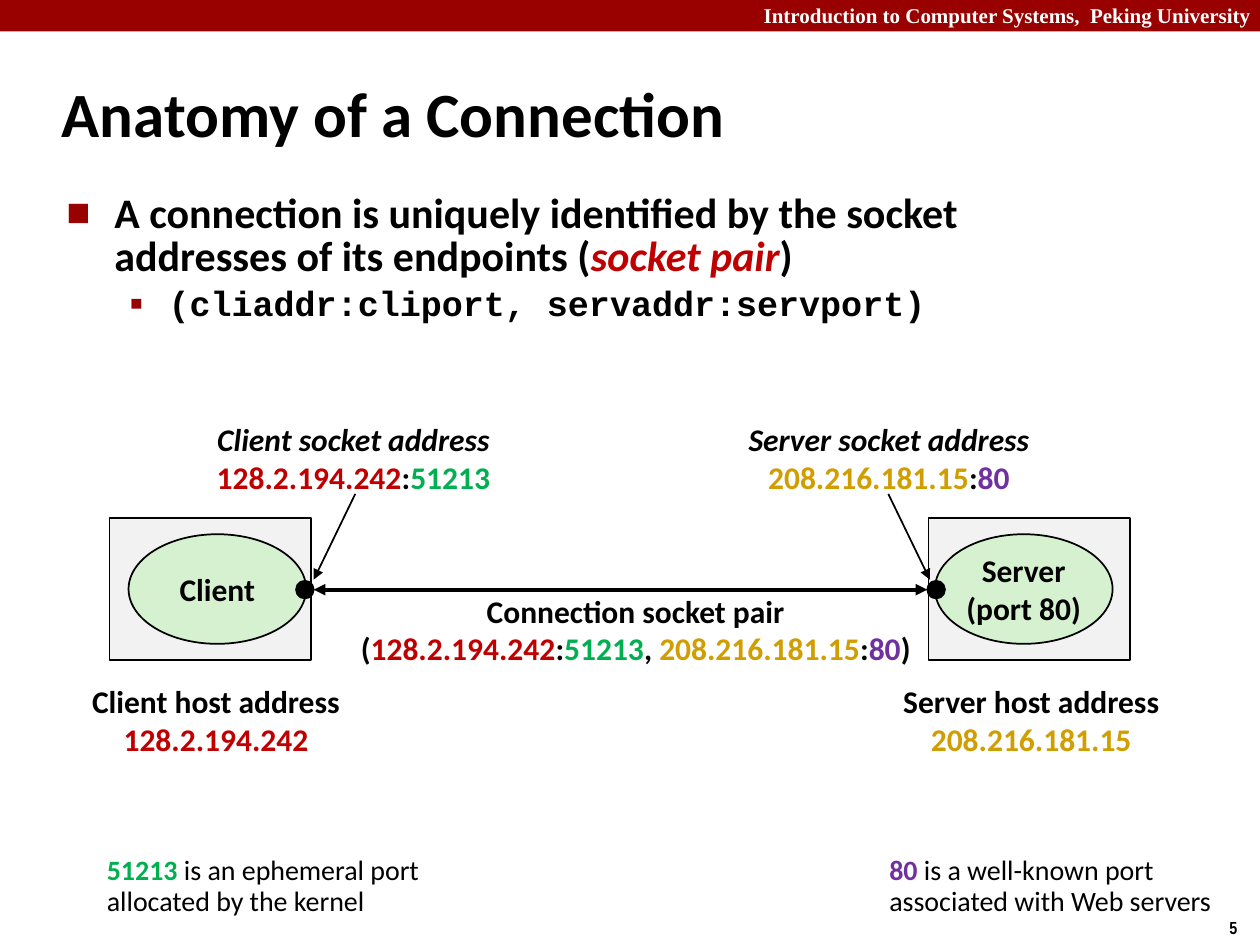
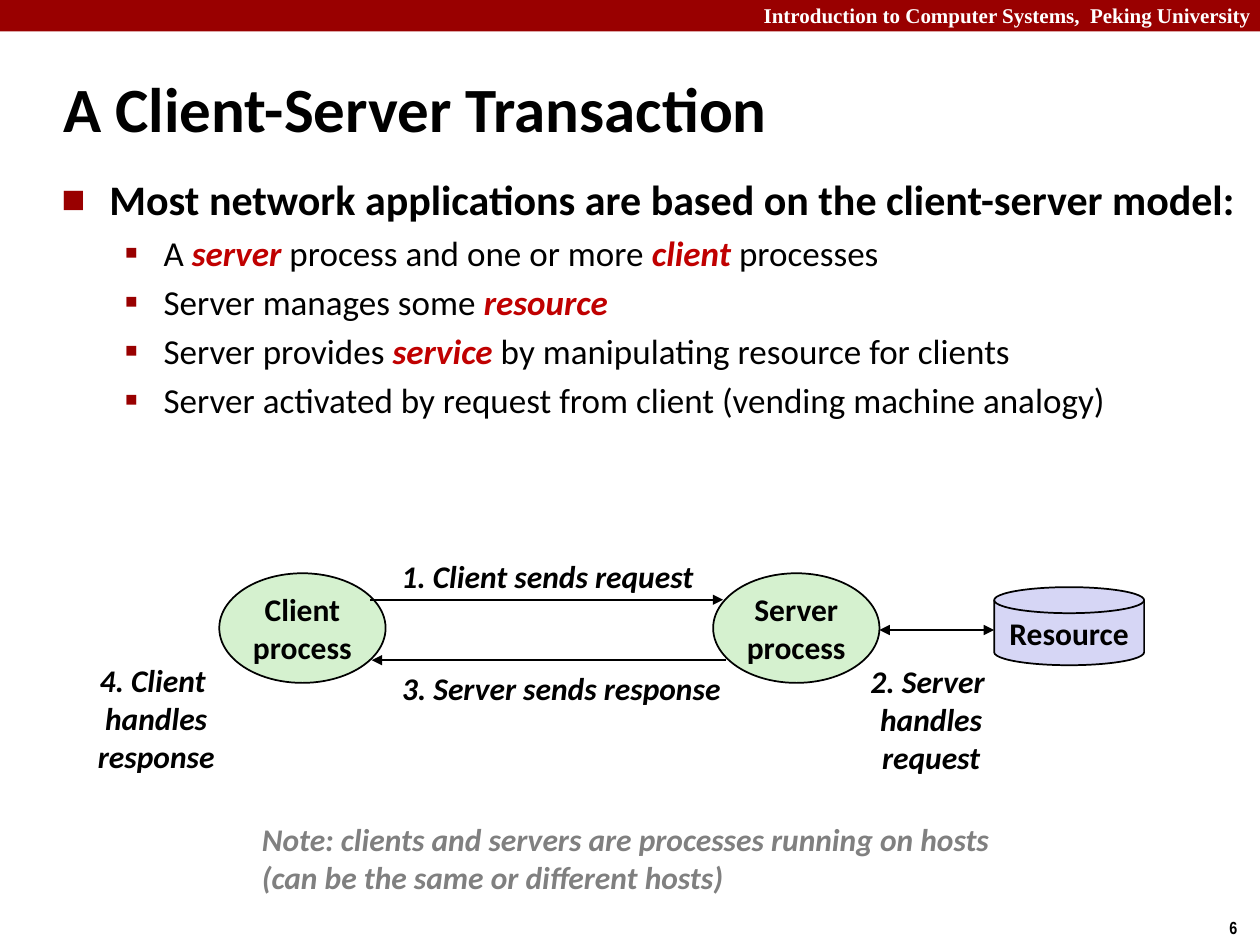
from dataclasses import dataclass
from typing import NamedTuple, Optional, Union

from pptx import Presentation
from pptx.dml.color import RGBColor
from pptx.enum.shapes import MSO_CONNECTOR as Link, MSO_SHAPE as Kind
from pptx.enum.text import MSO_ANCHOR as Anchor, MSO_AUTO_SIZE as AutoSize, PP_ALIGN as Align
from pptx.oxml.ns import qn
from pptx.oxml.xmlchemy import OxmlElement
from pptx.util import Emu, Inches, Pt

# Grid: 100 columns by 75 rows of square cells
WIDTH, HEIGHT = Inches(10), Inches(7.5)
CELL = WIDTH / 100
TITLE_ONLY = 5

COLORS = {
    "band": "990000", "white": "FFFFFF", "black": "000000", "host": "F2F2F2",
    "process": "D5F1CF", "resource": "D6D6F5", "key": "C00000", "client_port": "00B050",
    "server_ip": "D09E00", "server_port": "7030A0", "note": "808080",
}

# Text styles
TITLE = {"name": "Calibri", "size": Pt(36), "bold": True, "color": "black"}
HEADER = {"name": "Times New Roman", "size": Pt(12), "bold": True, "color": "white"}
NUMBER = {"name": "Arial Narrow", "size": Pt(10), "bold": True, "color": "black"}
POINT = {**TITLE, "size": Pt(24)}
SUBPOINT = {**TITLE, "size": Pt(20), "bold": False}
CODE = {**SUBPOINT, "name": "Courier New", "bold": True}
LABEL = {**TITLE, "size": Pt(18)}
STEP = {**LABEL, "italic": True}
REMARK = {**STEP, "color": "note"}
FOOTNOTE = {**TITLE, "size": Pt(16), "bold": False}


class Place(NamedTuple):
    left: float
    top: float
    width: float
    height: float


class Span(NamedTuple):
    text: str
    changes: dict


Piece = Union[str, Span]


class Bullet(NamedTuple):
    mark: str
    percent: int
    margin: float
    hang: float


@dataclass
class Para:
    pieces: tuple[Piece, ...]
    style: dict
    align: Align = Align.LEFT
    bullet: Optional[Bullet] = None
    spacing: Optional[float] = None
    before: float = 0


@dataclass
class End:
    """One end of the connection, with the places of its parts."""
    name: str
    process: str
    ip: Span
    port: Span
    host_left: float
    process_left: float
    dot_left: float
    socket_place: Place
    host_place: Place
    pointer: tuple[float, float]


SQUARE = Bullet("■", 60, 3.8, 3.8)
SMALL_SQUARE = Bullet("▪", 110, 8.1, 3.1)


def cells(count: float) -> Emu:
    return Emu(round(count * CELL))


def color_of(name: str) -> RGBColor:
    return RGBColor.from_string(COLORS[name])


def key(text: str) -> Span:
    return Span(text, {"color": "key", "bold": True, "italic": True})


def centred(style: dict, *lines: Union[str, tuple[Piece, ...]]) -> list[Para]:
    return [Para((line,) if isinstance(line, str) else line, style, Align.CENTER)
            for line in lines]


def subpoint(*pieces: Piece, style: dict = SUBPOINT, spacing: Optional[float] = None) -> Para:
    return Para(pieces, style, bullet=SMALL_SQUARE, spacing=spacing, before=4)


def set_font(font, style: dict) -> None:
    for name, value in style.items():
        if name == "color":
            font.color.rgb = color_of(value)
        else:
            setattr(font, name, value)


def add_bullet(para, bullet: Bullet) -> None:
    props = para._p.get_or_add_pPr()
    props.set("marL", str(cells(bullet.margin)))
    props.set("indent", str(-cells(bullet.hang)))
    color = OxmlElement("a:buClr")
    shade = OxmlElement("a:srgbClr")
    shade.set("val", COLORS["band"])
    color.append(shade)
    props.append(color)
    for tag, name, value in (("a:buSzPct", "val", str(bullet.percent * 1000)),
                             ("a:buFont", "typeface", "Calibri"),
                             ("a:buChar", "char", bullet.mark)):
        child = OxmlElement(tag)
        child.set(name, value)
        props.append(child)


def write(frame, paras: list[Para], anchor: Anchor = Anchor.MIDDLE, wrap: bool = False) -> None:
    for name, value in {"word_wrap": wrap, "vertical_anchor": anchor,
                        "auto_size": AutoSize.NONE}.items():
        setattr(frame, name, value)
    for index, item in enumerate(paras):
        para = frame.paragraphs[0] if index == 0 else frame.add_paragraph()
        if item.bullet:
            add_bullet(para, item.bullet)
        para.alignment = item.align
        if item.spacing:
            para.line_spacing = item.spacing
        if index and item.before:
            para.space_before = Pt(item.before)
        for piece in item.pieces:
            text, changes = (piece, {}) if isinstance(piece, str) else piece
            span = para.add_run()
            span.text = text
            set_font(span.font, {**item.style, **changes})


def add_text(page, place: Place, paras: list[Para],
             anchor: Anchor = Anchor.MIDDLE, wrap: bool = False) -> None:
    box = page.shapes.add_textbox(*map(cells, place))
    write(box.text_frame, paras, anchor, wrap)


def add_block(page, kind: Kind, place: Place, fill: str,
              lines: tuple[str, ...] = (), outlined: bool = True) -> None:
    block = page.shapes.add_shape(kind, *map(cells, place))
    block.shadow.inherit = False
    block.fill.solid()
    block.fill.fore_color.rgb = color_of(fill)
    if outlined:
        block.line.color.rgb = color_of("black")
        block.line.width = Pt(1)
    else:
        block.line.fill.background()
    if lines:
        write(block.text_frame, centred(LABEL, *lines))


def add_arrow(page, start: tuple[float, float], end: tuple[float, float],
              weight: float = 1, both: bool = False) -> None:
    arrow = page.shapes.add_connector(Link.STRAIGHT, *map(cells, start + end))
    arrow.line.color.rgb = color_of("black")
    arrow.line.width = Pt(weight)
    props = arrow.element.spPr
    for tag in ("a:headEnd", "a:tailEnd") if both else ("a:tailEnd",):
        tip = OxmlElement(tag)
        tip.set("type", "triangle")
        props.find(qn("a:ln")).append(tip)
    props.append(OxmlElement("a:effectLst"))


def add_page(deck, title: str, place: Place, number: int):
    """Page with the shared band, header, number and title."""
    page = deck.slides.add_slide(deck.slide_layouts[TITLE_ONLY])
    add_block(page, Kind.RECTANGLE, Place(0, 0, 100, 2.5), "band", outlined=False)
    header = Para(("Introduction to Computer Systems,  Peking University ",), HEADER, Align.RIGHT)
    add_text(page, Place(40.8, -0.3, 59.9, 3), [header], Anchor.TOP, wrap=True)
    add_text(page, Place(96.6, 72.3, 3.4, 2.7), [Para((str(number),), NUMBER)], Anchor.TOP)
    heading = page.shapes.title
    for name, value in zip(Place._fields, place):
        setattr(heading, name, cells(value))
    write(heading.text_frame, [Para((title,), TITLE)], wrap=True)
    return page


def build_connection(deck) -> None:
    page = add_page(deck, "Anatomy of a Connection", Place(3.9, 4.8, 83, 8.3), 5)
    add_text(page, Place(4.3, 14.9, 86.4, 12.6), [
        Para(("A connection is uniquely identified by the socket addresses of its endpoints (",
              key("socket pair"), ")"), POINT, bullet=SQUARE, spacing=0.85),
        subpoint("(cliaddr:cliport, servaddr:servport)", style=CODE, spacing=0.9),
    ], Anchor.TOP, wrap=True)

    client = End("Client", "Client", Span("128.2.194.242", {"color": "key"}),
                 Span("51213", {"color": "client_port"}), 8.7, 10.2, 23.5,
                 Place(16.1, 32.8, 23.9, 7.1), Place(6.5, 53.6, 21.3, 7.1), (28.2, 24.9))
    server = End("Server", "Server\n(port 80)", Span("208.216.181.15", {"color": "server_ip"}),
                 Span("80", {"color": "server_port"}), 73.7, 74.2, 73.6,
                 Place(56.4, 32.8, 28.3, 7.1), Place(70.6, 53.6, 22.5, 7.1), (70.5, 73.8))

    # Hosts, processes and their addresses
    for end in (client, server):
        add_block(page, Kind.RECTANGLE, Place(end.host_left, 41.1, 16, 11.3), "host")
        add_block(page, Kind.OVAL, Place(end.process_left, 42.4, 14.1, 8.7), "process",
                  tuple(end.process.split("\n")))
        plain_ip, plain_port = (Span(part.text, {**part.changes, "italic": False})
                                for part in (end.ip, end.port))
        colon = Span(":", {"italic": False})
        add_text(page, end.socket_place, centred(
            STEP, f"{end.name} socket address", (plain_ip, colon, plain_port)))
        add_text(page, end.host_place, centred(LABEL, f"{end.name} host address", (end.ip,)))
        start, tip = end.pointer
        add_arrow(page, (start, 39.2), (tip, 46))

    # Connection between the two sockets
    add_arrow(page, (24.9, 46.8), (73.6, 46.8), weight=2.25, both=True)
    for end in (client, server):
        add_block(page, Kind.OVAL, Place(end.dot_left, 46.1, 1.4, 1.4), "black")
    add_text(page, Place(27.4, 46.4, 46.1, 7.1), centred(
        LABEL, "Connection socket pair",
        ("(", client.ip, ":", client.port, ", ", server.ip, ":", server.port, ")")))

    # Port remarks
    for left, end, first, second in (
            (7.5, client, " is an ephemeral port", "allocated by the kernel"),
            (69.6, server, " is a well-known port", "associated with Web servers")):
        port = Span(end.port.text, {**end.port.changes, "bold": True})
        add_text(page, Place(left, 67.5, 28, 5.9),
                 [Para(line, FOOTNOTE, spacing=0.9) for line in ((port, first), (second,))],
                 Anchor.TOP)


def build_transaction(deck) -> None:
    page = add_page(deck, "A Client-Server Transaction", Place(4, 5.4, 78.3, 6.3), 6)
    add_text(page, Place(3.9, 13.3, 95.2, 22.5), [
        Para(("Most network applications are based on the client-server model:",),
             POINT, bullet=SQUARE),
        subpoint("A ", key("server"), " process and one or more ", key("client "), "processes"),
        subpoint("Server manages some ", key("resource")),
        subpoint("Server provides ", key("service"), " by manipulating resource for clients"),
        subpoint("Server activated by request from client (vending machine analogy)"),
    ], Anchor.TOP, wrap=True)

    # Processes and resource
    for left, name in ((17.4, "Client"), (56.6, "Server")):
        add_block(page, Kind.OVAL, Place(left, 45.5, 13.2, 8.7), "process", (name, "process"))
    add_block(page, Kind.FLOWCHART_MAGNETIC_DISK, Place(78.9, 46.6, 11.9, 6.2),
              "resource", ("Resource",))

    # Messages
    add_arrow(page, (29.4, 47.6), (57.4, 47.6))
    add_arrow(page, (57.6, 52.4), (29.5, 52.4))
    add_arrow(page, (69.8, 50), (78.9, 50), both=True)

    # Steps
    for place, lines in (
            (Place(30.7, 43.7, 25.5, 4), ("1. Client sends request",)),
            (Place(68, 52, 11.8, 10.1), ("2. Server ", "handles", "request")),
            (Place(30.7, 52.6, 27.7, 4), ("3. Server sends response",)),
            (Place(6.7, 51.9, 11.4, 10.1), ("4. Client ", "handles", "response"))):
        add_text(page, place, centred(STEP, *lines))
    add_text(page, Place(19.8, 64.6, 61.1, 7.1), [
        Para((line,), REMARK) for line in (
            "Note: clients and servers are processes running on hosts",
            "(can be the same or different hosts)")], Anchor.TOP)


def main() -> None:
    deck = Presentation()
    deck.slide_width, deck.slide_height = WIDTH, HEIGHT
    build_connection(deck)
    build_transaction(deck)
    deck.save("out.pptx")


if __name__ == "__main__":
    main()
